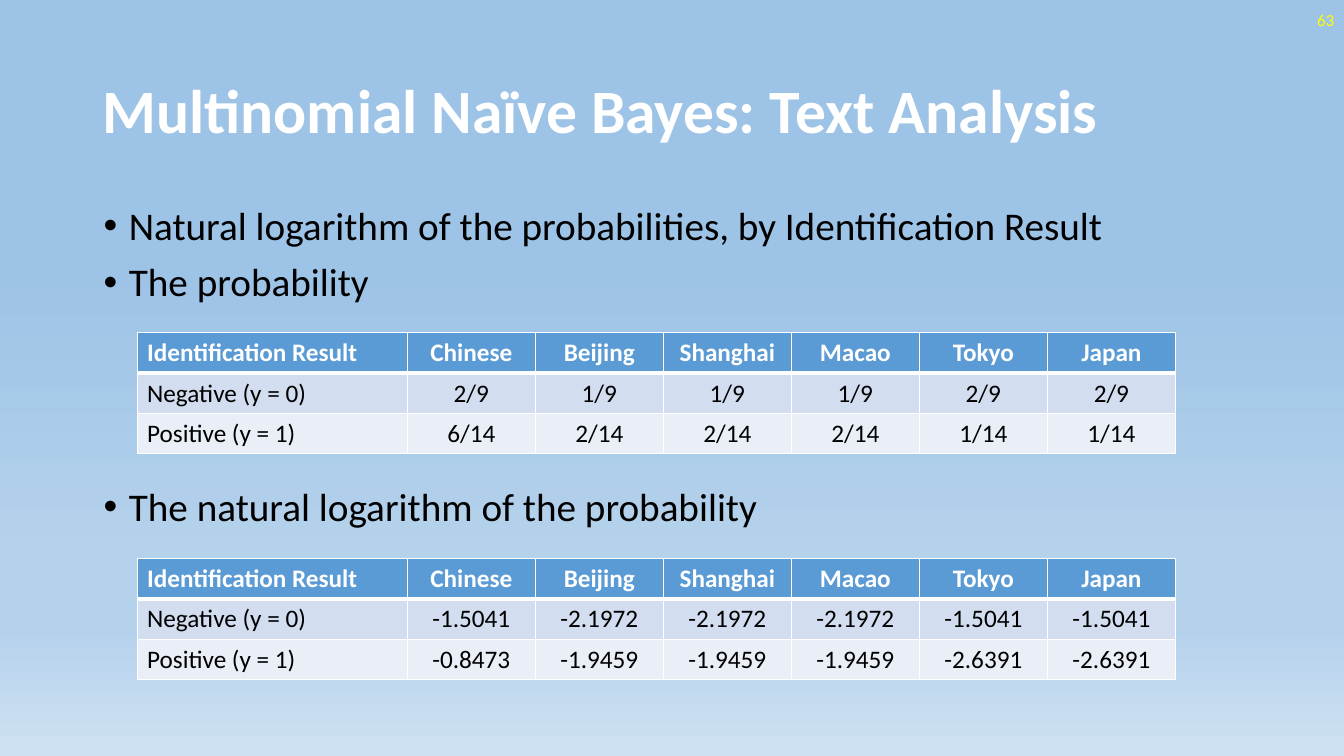
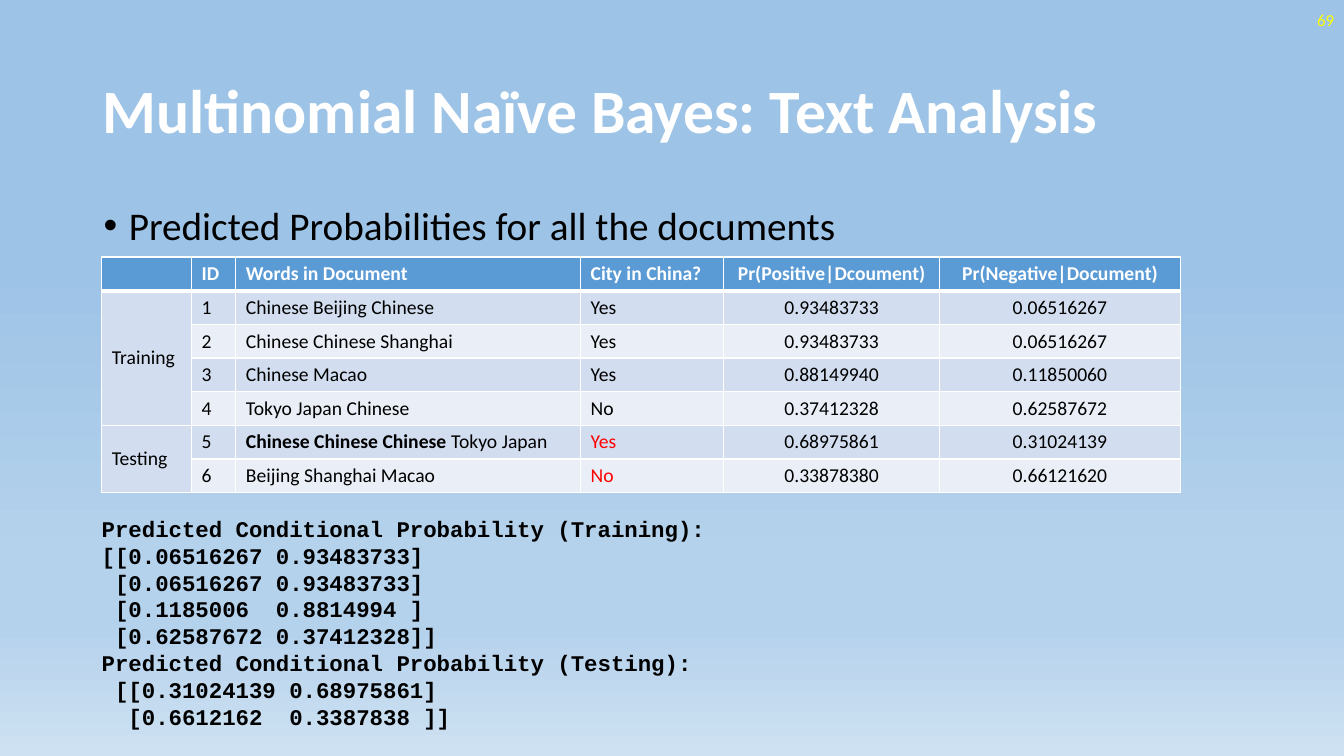
from lxml.etree import SubElement
from pptx import Presentation
from pptx.dml.color import RGBColor
from pptx.enum.text import MSO_ANCHOR, PP_ALIGN
from pptx.oxml.ns import qn
from pptx.util import Inches, Pt

WHITE, BLACK, RED, YELLOW = "FFFFFF", "000000", "FF0000", "FFFF00"
HEADER_FILL, BAND_FILLS = "5B9BD5", ("D2DEEF", "EAEFF7")
BACKGROUND_STOPS = ((35, "9DC3E6"), (74, "B5D2EC"), (83, "B5D2EC"), (100, "CEE1F2"))
TITLE = "Multinomial Naïve Bayes: Text Analysis"


def format_runs(paragraph, size, color, bold=False, font="Calibri"):
    for run in paragraph.runs:
        run.font.name = font
        run.font.size = Pt(size)
        run.font.bold = bold
        run.font.color.rgb = RGBColor.from_string(color)


def add_styled_table(slide, rows, left, top, widths, row_height, size, centered):
    """Add a banded table with white rules; centered is a set of column numbers."""
    table = slide.shapes.add_table(
        len(rows), len(widths), Inches(left), Inches(top),
        Inches(sum(widths)), Inches(row_height * len(rows))).table
    for column, width in zip(table.columns, widths):
        column.width = Inches(width)
    for row_number, row in enumerate(rows):
        table.rows[row_number].height = Inches(row_height)
        is_header = row_number == 0
        for column_number, text in enumerate(row):
            cell = table.cell(row_number, column_number)
            cell.vertical_anchor = MSO_ANCHOR.MIDDLE
            cell.text_frame.text = text
            paragraph = cell.text_frame.paragraphs[0]
            if column_number in centered:
                paragraph.alignment = PP_ALIGN.CENTER
            if text:
                format_runs(paragraph, size, WHITE if is_header else BLACK, is_header)
            else:
                SubElement(paragraph._p, qn("a:endParaRPr"), sz=str(size * 100))
            # White borders, thicker below the header
            properties = cell._tc.get_or_add_tcPr()
            thick_side = {0: "B", 1: "T"}.get(row_number)
            for side in "LRTB":
                width = Pt(3 if side == thick_side else 1)
                line = SubElement(properties, qn(f"a:ln{side}"), w=str(width))
                SubElement(SubElement(line, qn("a:solidFill")), qn("a:srgbClr"), val=WHITE)
            cell.fill.solid()
            fill = HEADER_FILL if is_header else BAND_FILLS[(row_number - 1) % 2]
            cell.fill.fore_color.rgb = RGBColor.from_string(fill)
    return table


presentation = Presentation()
presentation.slide_width = Inches(13.33)
presentation.slide_height = Inches(7.5)

# Shared background gradient, top to bottom
master = presentation.slide_master
background_fill = master.background.fill
background_fill.gradient()
background_fill.gradient_angle = 270
stop_list = next(master.element.iter(qn("a:gsLst")))
for stop in list(stop_list):
    stop_list.remove(stop)
for position, color in BACKGROUND_STOPS:
    stop = SubElement(stop_list, qn("a:gs"), pos=str(position * 1000))
    SubElement(stop, qn("a:srgbClr"), val=color)

# Title, slide number and bullets: (text, space before in points)
slide_contents = (
    ("63", (("Natural logarithm of the probabilities, by Identification Result", 0),
            ("The probability", 10),
            ("The natural logarithm of the probability", 130))),
    ("69", (("Predicted Probabilities for all the documents", 0),)),
)
for number, bullets in slide_contents:
    slide = presentation.slides.add_slide(presentation.slide_layouts[5])
    title = slide.shapes.title
    title.left, title.top = Inches(0.92), Inches(0.4)
    title.width, title.height = Inches(11.5), Inches(1.45)
    title.text_frame.text = TITLE
    title.text_frame.vertical_anchor = MSO_ANCHOR.MIDDLE
    paragraph = title.text_frame.paragraphs[0]
    paragraph.alignment = PP_ALIGN.LEFT
    paragraph.line_spacing = 0.9
    format_runs(paragraph, 44, WHITE, bold=True)

    body = slide.shapes.add_textbox(Inches(0.93), Inches(2), Inches(11.5), Inches(4.76))
    body.text_frame.word_wrap = True
    body.text_frame.text = "\n".join(text for text, _ in bullets)
    for paragraph, (_, space_before) in zip(body.text_frame.paragraphs, bullets):
        properties = paragraph._p.get_or_add_pPr()
        properties.set("marL", str(Inches(0.25)))
        properties.set("indent", str(-Inches(0.25)))
        SubElement(properties, qn("a:buFont"), typeface="Arial")
        SubElement(properties, qn("a:buChar"), char="•")
        paragraph.line_spacing = 0.9
        paragraph.space_before = Pt(space_before)
        format_runs(paragraph, 28, BLACK)

    number_box = slide.shapes.add_textbox(Inches(10.33), 0, Inches(3), Inches(0.4))
    number_box.text_frame.word_wrap = True
    number_box.text_frame.vertical_anchor = MSO_ANCHOR.MIDDLE
    number_box.text_frame.text = number
    paragraph = number_box.text_frame.paragraphs[0]
    paragraph.alignment = PP_ALIGN.RIGHT
    format_runs(paragraph, 12, YELLOW)

logarithm_slide, prediction_slide = presentation.slides

# Slide 1: probabilities and their logarithms
word_header = ("Identification Result", "Chinese", "Beijing", "Shanghai", "Macao", "Tokyo", "Japan")
word_tables = (
    (3.3, ("2/9", "1/9", "1/9", "1/9", "2/9", "2/9"),
     ("6/14", "2/14", "2/14", "2/14", "1/14", "1/14")),
    (5.54, ("-1.5041", "-2.1972", "-2.1972", "-2.1972", "-1.5041", "-1.5041"),
     ("-0.8473", "-1.9459", "-1.9459", "-1.9459", "-2.6391", "-2.6391")),
)
for top, negative, positive in word_tables:
    rows = (word_header, ("Negative (y = 0)", *negative), ("Positive (y = 1)", *positive))
    add_styled_table(logarithm_slide, rows, 1.36, top, [2.68] + [1.27] * 6,
                     0.4, 18, set(range(1, 7)))

# Slide 2: predictions for each document
document_rows = (
    ("", "ID", "Words in Document", "City in China?",
     "Pr(Positive|Dcoument)", "Pr(Negative|Document)"),
    ("Training", "1", "Chinese Beijing Chinese", "Yes", "0.93483733", "0.06516267"),
    ("", "2", "Chinese Chinese Shanghai", "Yes", "0.93483733", "0.06516267"),
    ("", "3", "Chinese Macao", "Yes", "0.88149940", "0.11850060"),
    ("", "4", "Tokyo Japan Chinese", "No", "0.37412328", "0.62587672"),
    ("Testing", "5", "Chinese Chinese Chinese", "Yes", "0.68975861", "0.31024139"),
    ("", "6", "Beijing Shanghai Macao", "No", "0.33878380", "0.66121620"),
)
document_table = add_styled_table(prediction_slide, document_rows, 1.01, 2.55,
                                  (0.89, 0.44, 3.42, 1.42, 2.14, 2.39), 0.33, 14, {4, 5})
for first_row, last_row in ((1, 4), (5, 6)):
    document_table.cell(first_row, 0).merge(document_table.cell(last_row, 0))

# Red test answers and bold repeated words
for row_number in (5, 6):
    format_runs(document_table.cell(row_number, 3).text_frame.paragraphs[0], 14, RED)
paragraph = document_table.cell(5, 2).text_frame.paragraphs[0]
paragraph.add_run().text = " Tokyo Japan"
format_runs(paragraph, 14, BLACK)
paragraph.runs[0].font.bold = True

# Program output
output_lines = (
    "Predicted Conditional Probability (Training):",
    "[[0.06516267 0.93483733]",
    " [0.06516267 0.93483733]",
    " [0.1185006  0.8814994 ]",
    " [0.62587672 0.37412328]]",
    "Predicted Conditional Probability (Testing):",
    " [[0.31024139 0.68975861]",
    "  [0.6612162  0.3387838 ]]",
)
output_box = prediction_slide.shapes.add_textbox(
    Inches(0.91), Inches(5.06), Inches(7.61), Inches(2.26))
output_box.text_frame.word_wrap = True
output_box.text_frame.text = "\n".join(output_lines)
for paragraph in output_box.text_frame.paragraphs:
    format_runs(paragraph, 16, BLACK, bold=True, font="Courier New")

presentation.save("out.pptx")
